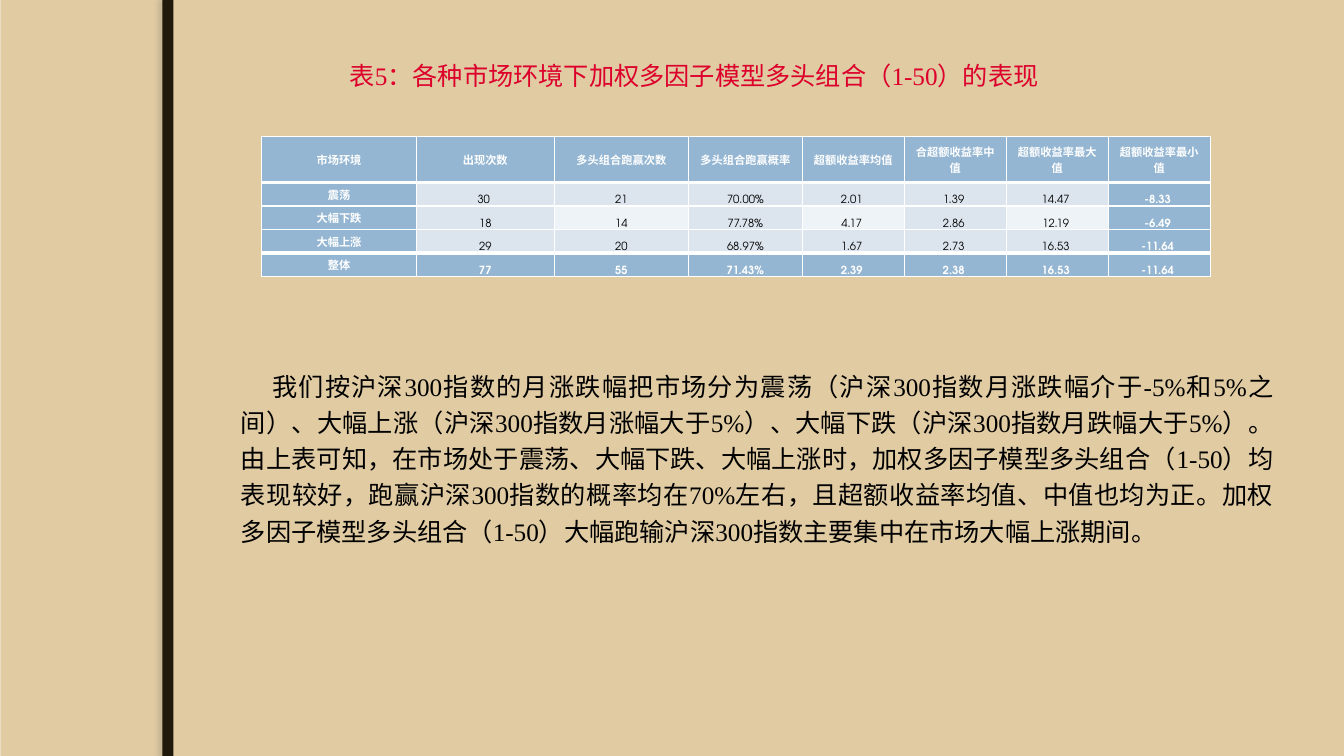
import lxml.etree
import pptx
import pptx.dml.color
import pptx.enum.shapes
import pptx.enum.text
import pptx.oxml
import pptx.oxml.ns
import pptx.util

Cm, Pt = pptx.util.Cm, pptx.util.Pt
ALIGN, ANCHOR = pptx.enum.text.PP_ALIGN, pptx.enum.text.MSO_ANCHOR
NS = pptx.oxml.ns.nsdecls("a")


def paint(text):
    return pptx.dml.color.RGBColor.from_string(text)


class Deck:
    """Holds the style and the current slide."""
    serif, sans = "Times New Roman", "TeX Gyre Adventor"
    blue, pale, light, white = "94B6D2", "DCE5EE", "EEF3F7", "FFFFFF"

    def __init__(self, slide):
        self.slide = slide
        fill = slide.background.fill
        fill.solid()
        fill.fore_color.rgb = paint("EBDDC3")

    def panel(self, box, color, shade=None):
        kind = pptx.enum.shapes.MSO_SHAPE.RECTANGLE
        shape = self.slide.shapes.add_shape(kind, *map(Cm, box))
        shape.shadow.inherit = False
        shape.fill.solid()
        shape.fill.fore_color.rgb = paint(color)
        shape.line.fill.background()
        if shade:
            effects = shape._element.spPr.find(pptx.oxml.ns.qn("a:effectLst"))
            effects.append(pptx.oxml.parse_xml(
                f'<a:outerShdw {NS} blurRad="{Pt(3)}" dist="{Pt(3)}" dir="10800000">'
                f'<a:srgbClr val="{shade}"><a:alpha val="25000"/></a:srgbClr></a:outerShdw>'))

    def style(self, part, font, size, color, bold=False):
        for run in part.runs:
            run.font.name = font
            run.font.size = Pt(size)
            run.font.bold = bold
            run.font.color.rgb = paint(color)

    def label(self, shape, box, text, color, after):
        shape.left, shape.top, shape.width, shape.height = map(Cm, box)
        frame = shape.text_frame
        frame.text = text
        frame.word_wrap = True
        frame.vertical_anchor = ANCHOR.TOP
        frame.auto_size = pptx.enum.text.MSO_AUTO_SIZE.SHAPE_TO_FIT_TEXT
        part = frame.paragraphs[0]
        part.alignment = ALIGN.JUSTIFY
        part.space_before = Pt(0)
        part.space_after = Pt(after)
        self.style(part, self.serif, 18, color)
        return part

    def title(self, box, text, color):
        shape = self.slide.shapes.title
        self.slide.shapes._spTree.append(shape._element)
        self.label(shape, box, text, color, 2.4)

    def body(self, box, text, color):
        shape = self.slide.shapes.add_textbox(*map(Cm, box))
        part = self.label(shape, box, text, color, 3.6)
        part.line_spacing = 1.2
        part._p.get_or_add_pPr().set("indent", str(Cm(0.79)))

    def edges(self, cell, top, base):
        props = cell._tc.get_or_add_tcPr()
        for side, width in zip("LRTB", (1, 1, top, base)):
            line = lxml.etree.SubElement(props, pptx.oxml.ns.qn(f"a:ln{side}"), w=str(Pt(width)))
            line.append(pptx.oxml.parse_xml(
                f'<a:solidFill {NS}><a:srgbClr val="{self.white}"/></a:solidFill>'))

    def table(self, left, top, cols, rows, data):
        last, end = len(rows) - 1, len(cols) - 1
        grid = self.slide.shapes.add_table(
            len(rows), len(cols), Cm(left), Cm(top), Cm(sum(cols)), Cm(sum(rows))).table
        for col, width in zip(grid.columns, cols):
            col.width = Cm(width)
        for row, height in zip(grid.rows, rows):
            row.height = Cm(height)
        for r, line in enumerate(data):
            for c, text in enumerate(line):
                cell = grid.cell(r, c)
                strong = r in (0, last) or c in (0, end)
                cell.text = text
                cell.margin_top = cell.margin_bottom = 0
                cell.margin_left = cell.margin_right = Cm(0.18 if c > 3 else 0)
                cell.vertical_anchor = ANCHOR.MIDDLE if r == 0 or c == 0 else ANCHOR.BOTTOM
                self.edges(cell, 3 if r in (1, last) else 1, 3 if r in (0, last - 1) else 1)
                soft = self.light if r == 2 and c % 2 == 0 else self.pale
                cell.fill.solid()
                cell.fill.fore_color.rgb = paint(self.blue if strong else soft)
                part = cell.text_frame.paragraphs[0]
                part.alignment = ALIGN.CENTER
                self.style(part, self.sans, 8, self.white if strong else "000000", strong)


def main():
    show = pptx.Presentation()
    show.slide_width, show.slide_height = Cm(33.87), Cm(19.05)
    deck = Deck(show.slides.add_slide(show.slide_layouts[5]))
    deck.panel((0.03, 0, 33.84, 19.05), "E0CBA3")
    deck.panel((4.09, 0, 0.28, 19.05), "20190B", "766E60")
    deck.title((8.56, 1.4, 19.86, 1.02),
               "表5：各种市场环境下加权多因子模型多头组合（1-50）的表现", "DD002B")
    data = [
        ["市场环境", "出现次数", "多头组合跑赢次数", "多头组合跑赢概率",
         "超额收益率均值", "合超额收益率中值", "超额收益率最大值", "超额收益率最小值"],
        ["震荡", "30 ", "21", "70.00%", "2.01 ", "1.39 ", "14.47 ", "-8.33 "],
        ["大幅下跌", "18", "14", "77.78%", "4.17 ", "2.86 ", "12.19 ", "-6.49 "],
        ["大幅上涨", "29", "20", "68.97%", "1.67 ", "2.73 ", "16.53 ", "-11.64 "],
        ["整体", "77", "55", "71.43%", "2.39 ", "2.38 ", "16.53 ", "-11.64 "],
    ]
    deck.table(6.6, 3.43, [3.89, 3.48, 3.38, 2.87] + [2.57] * 4, [1.17] + [0.59] * 4, data)
    deck.body((5.82, 9.07, 26.52, 4.88),
              "我们按沪深300指数的月涨跌幅把市场分为震荡（沪深300指数月涨跌幅介于-5%和5%之间）、"
              "大幅上涨（沪深300指数月涨幅大于5%）、大幅下跌（沪深300指数月跌幅大于5%）。"
              "由上表可知，在市场处于震荡、大幅下跌、大幅上涨时，加权多因子模型多头组合（1-50）"
              "均表现较好，跑赢沪深300指数的概率均在70%左右，且超额收益率均值、中值也均为正。"
              "加权多因子模型多头组合（1-50）大幅跑输沪深300指数主要集中在市场大幅上涨期间。", "000000")
    show.save("out.pptx")


if __name__ == "__main__":
    main()
